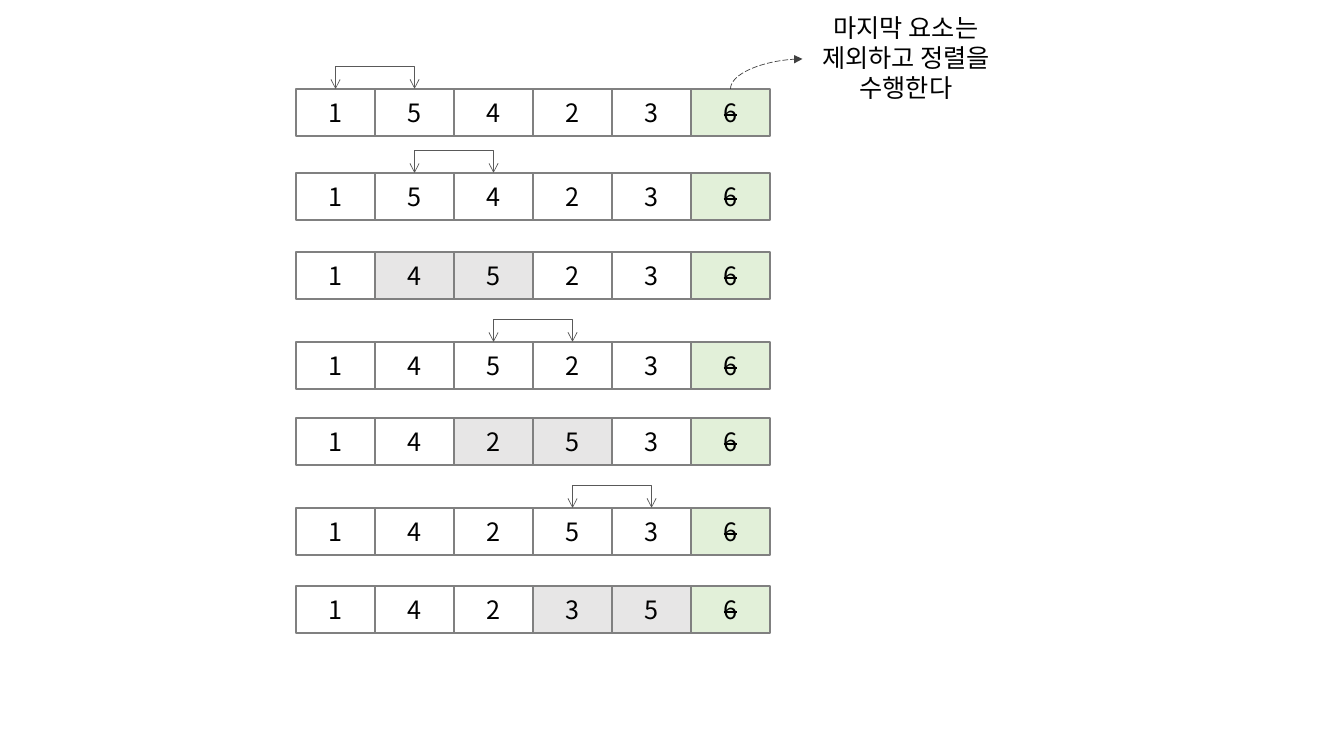
from pptx import Presentation
from pptx.dml.color import RGBColor
from pptx.enum.dml import MSO_LINE
from pptx.enum.shapes import MSO_CONNECTOR, MSO_SHAPE
from pptx.enum.text import MSO_ANCHOR, MSO_AUTO_SIZE, PP_ALIGN
from pptx.oxml.ns import qn
from pptx.util import Emu, Pt
from lxml import etree

RECT = MSO_SHAPE.RECTANGLE
ELBOW, CURVE = MSO_CONNECTOR.ELBOW, MSO_CONNECTOR.CURVE
DASH = MSO_LINE.LONG_DASH
MIDDLE, CENTER = MSO_ANCHOR.MIDDLE, PP_ALIGN.CENTER
GROW = MSO_AUTO_SIZE.SHAPE_TO_FIT_TEXT

# Content: top, values, compared pair, swapped pair (index of its left cell)
ROWS = [
    (89, "154236", 0, None),
    (173, "154236", 1, None),
    (252, "145236", None, 1),
    (342, "145236", 2, None),
    (418, "142536", None, 2),
    (508, "142536", 3, None),
    (586, "142356", None, 3),
]
NOTE = ["마지막 요소는", "제외하고 정렬을", "수행한다"]
FONT = "Noto Sans CJK KR"
LEFT, CELL_W, CELL_H = 296, 79, 47
RISE = 25
THIN = 1588  # EMU depth of a connector with level ends


def px(n):
    return Emu(round(n * 914400 / 100.8))


def color(code):
    return RGBColor.from_string(code)


def write(shape, lines, size=18, ink="000000", strike=False):
    frame = shape.text_frame
    for i, line in enumerate(lines):
        para = frame.paragraphs[0] if i == 0 else frame.add_paragraph()
        para.alignment = CENTER
        run = para.add_run()
        run.text = line
        run.font.size = Pt(size)
        run.font.name = FONT
        run.font.color.rgb = color(ink)
        props = run.font._element
        etree.SubElement(props, qn("a:ea"), typeface=FONT)
        if strike:
            props.set("strike", "sngStrike")


def cell(x, y, value, fill, strike):
    box = slide.shapes.add_shape(RECT, px(x), px(y), px(CELL_W), px(CELL_H))
    box.shadow.inherit = False
    box.fill.solid()
    box.fill.fore_color.rgb = color(fill)
    box.line.color.rgb = color("808080")
    box.line.width = Pt(1.5)
    box.text_frame.vertical_anchor = MIDDLE
    write(box, [value], strike=strike)
    return box


def link(kind, first, last, span, depth, ink, ends, adjust=None):
    """Leave the top of first and turn right by span, rising by depth."""
    line = slide.shapes.add_connector(kind, 0, 0, 0, 0)
    line.begin_connect(first, 0)
    if last is not None:
        line.end_connect(last, 0)
    # The frame lies on its side: turned by 90 degrees and flipped both ways
    x, y = first.left + first.width // 2, first.top
    line.left = Emu(x + (span - depth) // 2)
    line.top = Emu(y - (depth + span) // 2)
    line.width, line.height = Emu(depth), Emu(span)
    props = line._element.spPr
    frame = props.find(qn("a:xfrm"))
    for key, val in (("rot", "5400000"), ("flipH", "1"), ("flipV", "1")):
        frame.set(key, val)
    if adjust:
        guides = props.find(qn("a:prstGeom")).find(qn("a:avLst"))
        etree.SubElement(guides, qn("a:gd"), name="adj1", fmla=f"val {adjust}")
    line.line.color.rgb = color(ink)
    line.line.width = Pt(0.5)
    if kind == CURVE:
        line.line.dash_style = DASH
    for tag, head in ends:
        etree.SubElement(props.find(qn("a:ln")), qn(tag), type=head)
    etree.SubElement(props, qn("a:effectLst"))
    return line


deck = Presentation()
deck.slide_width, deck.slide_height = px(1344), px(756)
slide = deck.slides.add_slide(deck.slide_layouts[6])

# Rows of cells with the bracket over each compared pair
grid = []
for top, values, pair, swap in ROWS:
    row = []
    for i, value in enumerate(values):
        done = i == len(values) - 1
        moved = swap is not None and i in (swap, swap + 1)
        fill = "E2F0D9" if done else "E7E6E6" if moved else "FFFFFF"
        row.append(cell(LEFT + i * CELL_W, top, value, fill, done))
    grid.append(row)
    if pair is not None:
        link(ELBOW, row[pair], row[pair + 1], px(CELL_W), THIN, "595959",
             [("a:headEnd", "arrow"), ("a:tailEnd", "arrow")],
             round(100000 * px(RISE) / THIN))

# Note on the last cell and its dashed arrow
note = slide.shapes.add_textbox(px(802), px(7), px(208), px(102))
note.text_frame.word_wrap = False
note.text_frame.auto_size = GROW
write(note, NOTE)
curve = link(CURVE, grid[0][-1], None, px(72), px(30), "404040",
             [("a:tailEnd", "triangle")])
# The bend of a two-part curve
curve._element.spPr.find(qn("a:prstGeom")).set("prst", "curvedConnector2")

deck.save("out.pptx")
